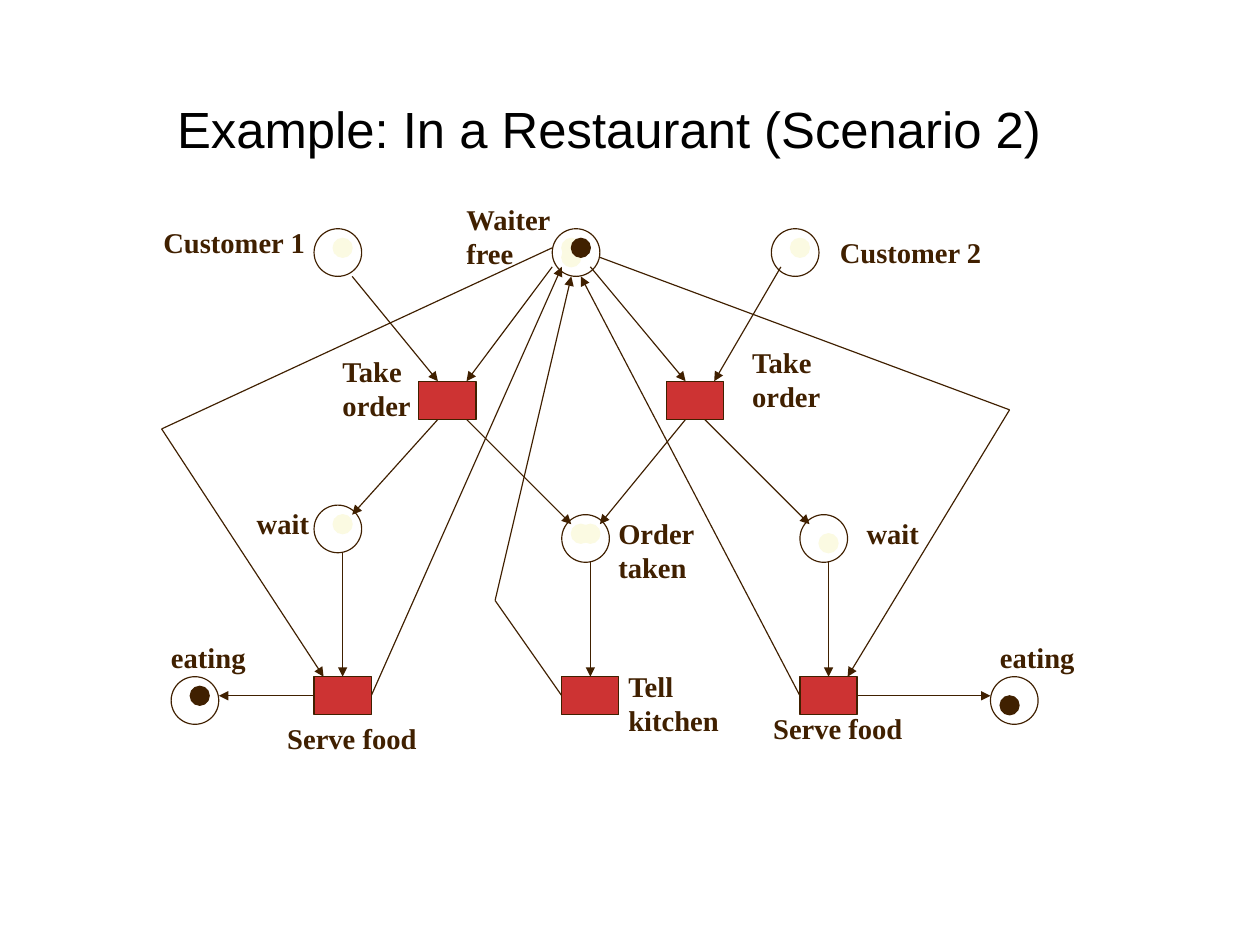
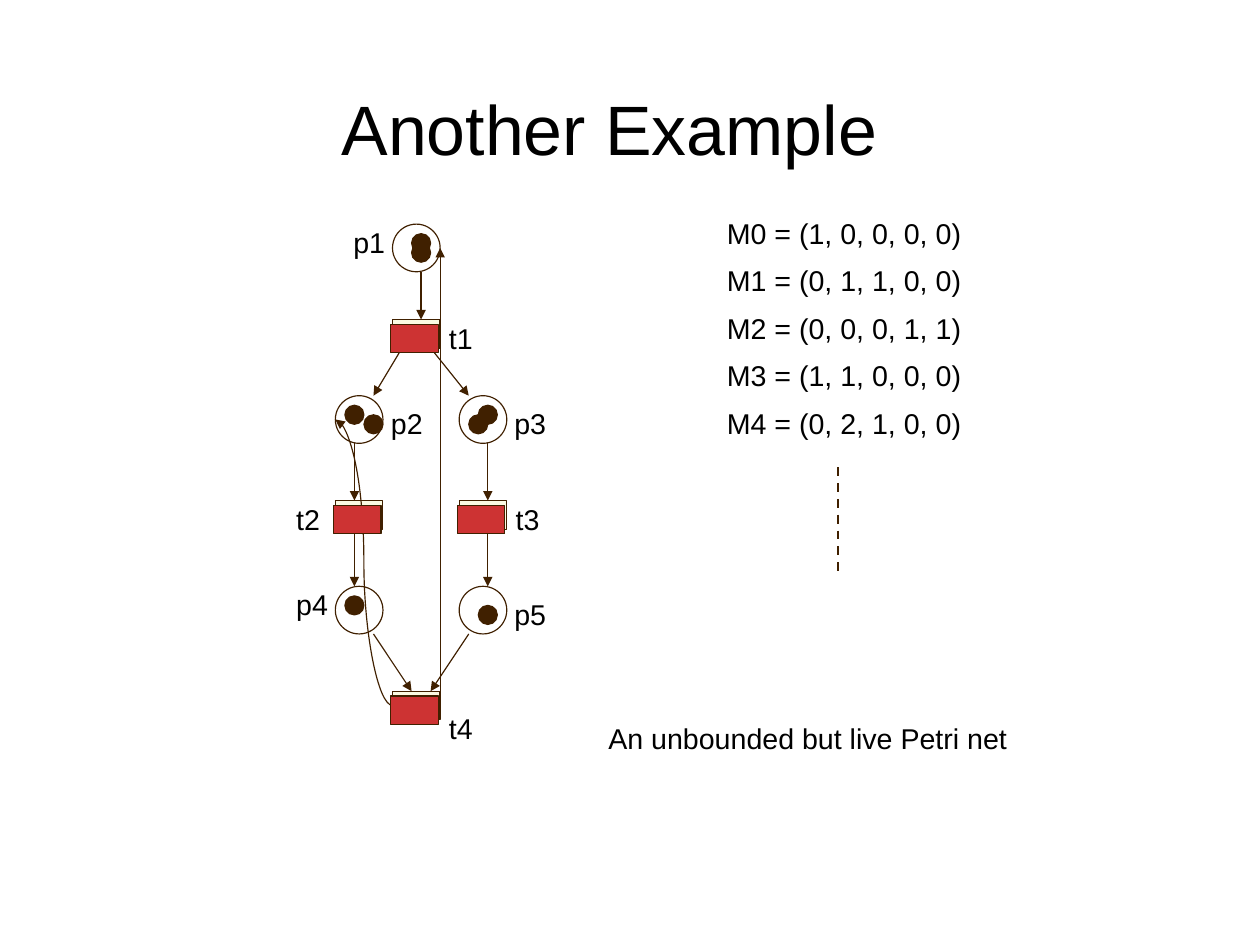
from pptx import Presentation
from pptx.dml.color import RGBColor
from pptx.enum.shapes import MSO_CONNECTOR, MSO_SHAPE
from pptx.enum.text import MSO_ANCHOR, PP_ALIGN
from pptx.oxml.ns import qn
from pptx.util import Pt
from lxml.etree import SubElement

BROWN, RED, CREAM, BLACK = "402000", "CD3333", "FBFAE2", "000000"
SANS, SERIF = "Arial", "Times New Roman"
UNIT = 6            # points in one grid step of a net
PLACE = (5, 5)      # sizes in grid steps
TOKEN = (2, 2)


def colour(hex_text):
    return RGBColor.from_string(hex_text)


def write(frame, text, font=SANS, size=18, ink=BLACK, bold=False,
          align=PP_ALIGN.LEFT, anchor=MSO_ANCHOR.TOP, gap=0):
    """Fill a text frame, one paragraph for each line of text."""
    frame.word_wrap = True
    frame.vertical_anchor = anchor
    for number, line in enumerate(text.split("\n")):
        para = frame.add_paragraph() if number else frame.paragraphs[0]
        para.alignment = align
        para.space_after = Pt(gap)
        span = para.add_run()
        span.text = line
        span.font.name, span.font.size = font, Pt(size)
        span.font.bold = bold
        span.font.color.rgb = colour(ink)


def add_text(page, box, text, **style):
    shape = page.shapes.add_textbox(*(Pt(length) for length in box))
    shape.text_frame.margin_right = 0
    write(shape.text_frame, text, **style)


def add_line(page, start, end, arrow=False, dashed=False,
             kind=MSO_CONNECTOR.STRAIGHT):
    """Draw a connector between two points given in points."""
    line = page.shapes.add_connector(
        kind, *(Pt(length) for length in (*start, *end)))
    line.line.color.rgb = colour(BROWN)
    line.line.width = Pt(0.75)
    outline = line.line._get_or_add_ln()
    if dashed:
        pattern = SubElement(outline, qn("a:custDash"))
        SubElement(pattern, qn("a:ds"), d="750000", sp="600000")
    if arrow:
        SubElement(outline, qn("a:tailEnd"), type="triangle")
    SubElement(line._element.spPr, qn("a:effectLst"))


def add_title_page(deck, title, size):
    page = deck.slides.add_slide(deck.slide_layouts[5])
    box = page.shapes.title
    box.left, box.top, box.width, box.height = Pt(78), Pt(35.6), Pt(612), Pt(90)
    write(box.text_frame, title, size=size, align=PP_ALIGN.CENTER,
          anchor=MSO_ANCHOR.MIDDLE)
    return page


class Net:
    """A Petri net whose parts sit on a grid from its top left corner."""

    def __init__(self, page, left, top):
        self.page, self.left, self.top = page, left, top

    def point(self, x, y):
        return self.left + x * UNIT, self.top + y * UNIT

    def shapes(self, kind, corners, size, fill=None, line=BROWN):
        width, height = (Pt(steps * UNIT) for steps in size)
        for corner in corners:
            left, top = (Pt(length) for length in self.point(*corner))
            shape = self.page.shapes.add_shape(kind, left, top, width, height)
            shape.shadow.inherit = False
            if fill:
                shape.fill.solid()
                shape.fill.fore_color.rgb = colour(fill)
            else:
                shape.fill.background()
            shape.line.color.rgb = colour(line)
            shape.line.width = Pt(0.75)

    def places(self, corners):
        self.shapes(MSO_SHAPE.OVAL, corners, PLACE)

    def tokens(self, corners, fill=BROWN):
        self.shapes(MSO_SHAPE.OVAL, corners, TOKEN, fill, fill)

    def transitions(self, corners, size, fill=RED):
        self.shapes(MSO_SHAPE.RECTANGLE, corners, size, fill)

    def arcs(self, routes, kind=MSO_CONNECTOR.STRAIGHT):
        """Each route is a list of stops; its last leg has the arrowhead."""
        for route in routes:
            stops = [self.point(*stop) for stop in route]
            for start, end in zip(stops, stops[1:]):
                add_line(self.page, start, end, arrow=end is stops[-1],
                         kind=kind)

    def labels(self, entries, **style):
        for text, x, y, width in entries:
            height = 7.2 + 21.6 * (text.count("\n") + 1)
            add_text(self.page, (*self.point(x, y), width * UNIT, height),
                     text, **style)


def draw_restaurant(page, left, top):
    net = Net(page, left, top)
    net.places([(17, 0), (42, 0), (65, 0), (17, 29), (43, 30), (68, 30),
                (2, 47), (88, 47)])
    net.arcs([
        # into and out of the two orders
        [(21, 5), (30, 16)], [(42, 4), (33, 16)],
        [(46, 4), (56, 16)], [(66, 4), (59, 16)],
        [(30, 20), (21, 30)], [(33, 20), (44, 31)],
        [(56, 20), (47, 31)], [(58, 20), (69, 31)],
        # down to the kitchen and the serving, then to eating
        [(20, 34), (20, 47)], [(46, 35), (46, 47)], [(71, 35), (71, 47)],
        [(17, 49), (7, 49)], [(74, 49), (88, 49)],
        # back to the free waiter
        [(23, 49), (43, 4)], [(43, 49), (36, 39), (44, 5)],
        [(68, 49), (45, 5)],
        # from the free waiter to the serving
        [(42, 2), (1, 21), (18, 47)], [(47, 3), (90, 19), (73, 47)],
    ])
    net.labels([
        ("Waiter\nfree", 31.8, -3.45, 11.4),
        ("Customer 1", 0, -1, 17.3), ("Customer 2", 71, 0.05, 17.3),
        ("Take\norder", 18.8, 12.5, 9.5), ("Take\norder", 61.8, 11.55, 9.5),
        ("Order\ntaken", 47.75, 29.5, 10.3),
        ("Tell\nkitchen", 48.8, 45.55, 11.9),
        ("wait", 9.8, 28.5, 7.8), ("wait", 73.8, 29.5, 7.8),
        ("Serve food", 13, 51, 16), ("Serve food", 64, 50, 16),
        ("eating", 0.8, 42.5, 10.2), ("eating", 87.8, 42.5, 10.2),
    ], font=SERIF, ink=BROWN, bold=True)
    net.transitions([(28, 16), (54, 16), (17, 47), (43, 47), (68, 47)], (6, 4))
    net.tokens([(19, 1), (67, 1), (43, 1), (43, 2), (19, 30), (44, 31),
                (45, 31), (70, 32)], CREAM)
    net.tokens([(44, 1), (4, 48), (89, 49)])


def draw_unbounded(page, left, top):
    net = Net(page, left, top)
    size = (5, 3)
    transitions = [(6, 10), (0, 29), (13, 29), (6, 49)]
    net.places([(6, 0), (0, 18), (13, 18), (0, 38), (13, 38)])
    net.transitions(transitions, size, CREAM)
    net.arcs([
        [(9, 5), (9, 10)], [(7, 13), (4, 18)], [(10, 13), (14, 18)],
        [(2, 23), (2, 29)], [(16, 23), (16, 29)],
        [(2, 32), (2, 38)], [(16, 32), (16, 38)],
        [(4, 43), (8, 49)], [(14, 43), (10, 49)],
        [(11, 50.5), (11, 2.5)],
    ])
    net.arcs([[(6, 50.5), (0, 20.5)]], MSO_CONNECTOR.CURVE)
    net.labels([
        ("p1", 0.7, -0.5, 5.6), ("p2", 4.65, 18.5, 5.6),
        ("p3", 17.6, 18.5, 5.6), ("p4", -5.3, 37.5, 5.6),
        ("p5", 17.6, 38.5, 5.6), ("t1", 10.75, 9.55, 4.8),
        ("t2", -5.3, 28.55, 4.8), ("t3", 17.75, 28.55, 4.8),
        ("t4", 10.75, 50.5, 4.8),
    ])
    net.tokens([(8, 1), (8, 2), (1, 19), (3, 20), (15, 19), (14, 20),
                (1, 39), (15, 40)])
    net.transitions([(x - 0.2, y + 0.5) for x, y in transitions], size)


def draw_markings(page, left, top):
    markings = ["1, 0, 0, 0, 0", "0, 1, 1, 0, 0", "0, 0, 0, 1, 1",
                "1, 1, 0, 0, 0", "0, 2, 1, 0, 0"]
    text = "\n".join(f"M{n} = ({marks})" for n, marks in enumerate(markings))
    add_text(page, (left, top, 162, 149), text, gap=8.3)
    add_line(page, (left + 77, top + 162), (left + 77, top + 228), dashed=True)


def main():
    deck = Presentation()
    deck.slide_width, deck.slide_height = Pt(793.5), Pt(595.5)

    page = add_title_page(deck, "Example: In a Restaurant (Scenario 2)", 32)
    draw_restaurant(page, 95.8, 144)

    page = add_title_page(deck, "Another Example", 44)
    draw_unbounded(page, 211.2, 141.1)
    draw_markings(page, 450.7, 132.2)
    add_text(page, (376, 450, 265, 29), "An unbounded but live Petri net")

    deck.save("out.pptx")


if __name__ == "__main__":
    main()
